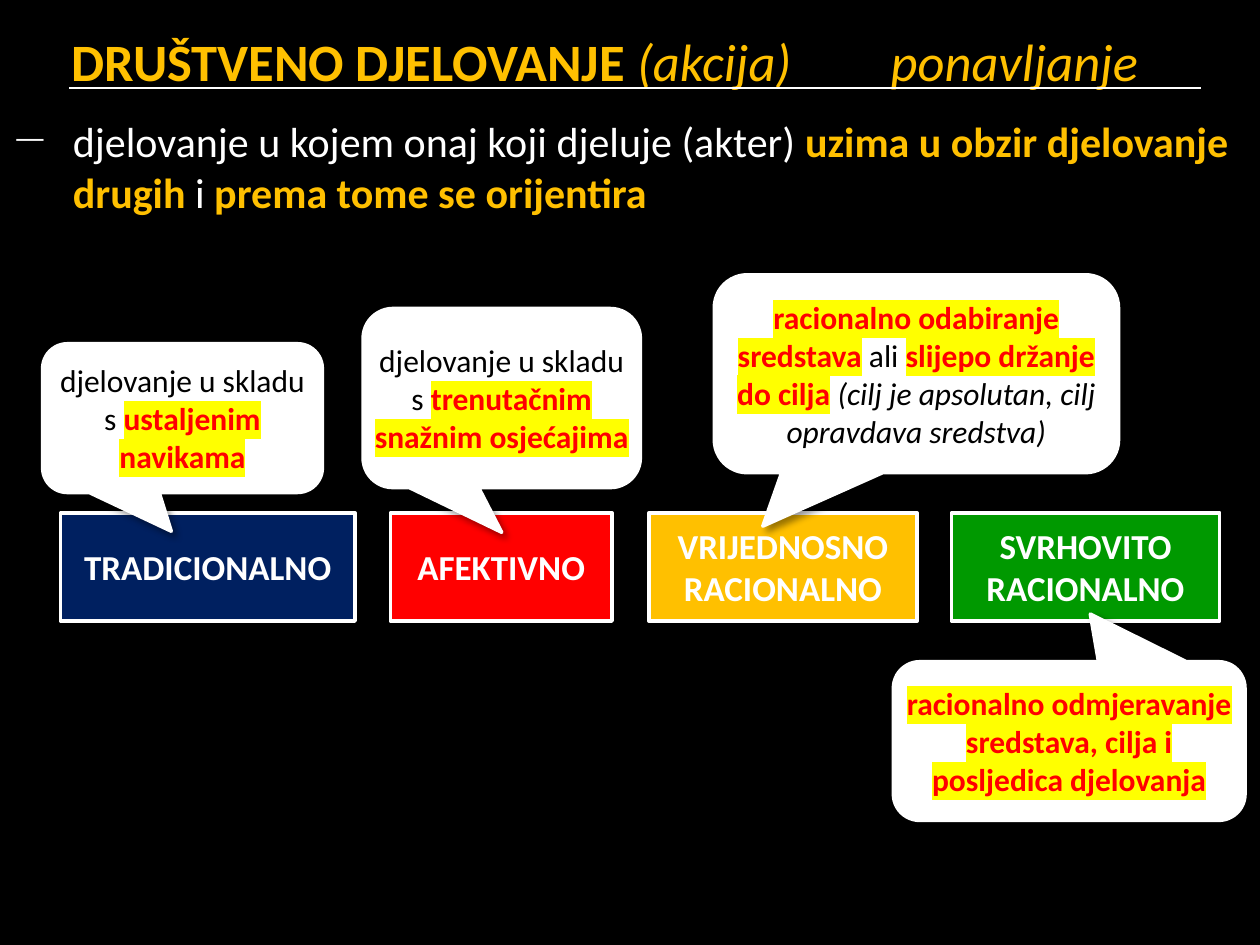
from typing import NamedTuple

from lxml import etree
from pptx import Presentation
from pptx.dml.color import RGBColor
from pptx.enum.shapes import MSO_CONNECTOR, MSO_SHAPE
from pptx.enum.text import MSO_ANCHOR, MSO_AUTO_SIZE, PP_ALIGN
from pptx.oxml import parse_xml
from pptx.oxml.ns import nsdecls, qn
from pptx.util import Cm, Pt

RECT = MSO_SHAPE.RECTANGLE
BUBBLE = MSO_SHAPE.ROUNDED_RECTANGULAR_CALLOUT
STRAIGHT = MSO_CONNECTOR.STRAIGHT
MIDDLE = MSO_ANCHOR.MIDDLE
LEFT, CENTER = PP_ALIGN.LEFT, PP_ALIGN.CENTER
FIXED = MSO_AUTO_SIZE.NONE

BLACK = RGBColor(0, 0, 0)
WHITE = RGBColor(255, 255, 255)
GOLD = RGBColor(255, 192, 0)
RED = RGBColor(255, 0, 0)
NAVY = RGBColor(0, 32, 96)
GREEN = RGBColor(0, 153, 0)
YELLOW = RGBColor(255, 255, 0)
FONT = "Calibri"
ROW_TOP, ROW_HIGH = 10.34, 2.18

SHADOW = f"""<a:effectLst {nsdecls("a")}>
  <a:outerShdw blurRad="50800" dist="38100" dir="2700000" algn="tl" rotWithShape="0">
    <a:srgbClr val="000000"><a:alpha val="40000"/></a:srgbClr>
  </a:outerShdw>
</a:effectLst>"""


class Span(NamedTuple):
    text: str
    color: RGBColor = BLACK
    bold: bool = False
    slant: bool = False
    mark: RGBColor | None = None


class Kind(NamedTuple):
    name: str
    left: float
    width: float
    color: RGBColor


class Note(NamedTuple):
    left: float
    top: float
    width: float
    height: float
    tip: tuple[float, float]
    inset: float
    spans: list[Span]


def key(text: str) -> Span:
    """Highlighted key phrase."""
    return Span(text, RED, bold=True, mark=YELLOW)


KINDS = [
    Kind("TRADICIONALNO", 1.22, 5.94, NAVY),
    Kind("AFEKTIVNO", 7.87, 4.47, RED),
    Kind("VRIJEDNOSNO RACIONALNO", 13.08, 5.41, GOLD),
    Kind("SVRHOVITO RACIONALNO", 19.18, 5.41, GREEN),
]
NOTES = [
    Note(0.86, 6.93, 5.64, 3, (-0.04, 0.76), 0.1,
         [Span("djelovanje u skladu s "), key("ustaljenim navikama")]),
    Note(7.32, 6.22, 5.59, 3.61, (0, 0.75), 0,
         [Span("djelovanje u skladu s "), key("trenutačnim snažnim osjećajima")]),
    Note(14.4, 5.54, 8.15, 3.99, (-0.38, 0.77), 0,
         [key("racionalno odabiranje sredstava"), Span(" ali "),
          key("slijepo držanje do cilja"), Span(" "),
          Span("(cilj je apsolutan, cilj opravdava sredstva)", slant=True)]),
    Note(18.01, 13.34, 7.09, 3.2, (0.06, -0.8), 0,
         [key("racionalno odmjeravanje sredstava, cilja i posljedica djelovanja")]),
]
TITLE = [
    Span("DRUŠTVENO DJELOVANJE ", GOLD, bold=True),
    Span("(akcija)\t\tponavljanje", GOLD, slant=True),
]
LEAD = [
    Span("djelovanje u kojem onaj koji djeluje (akter) ", WHITE),
    Span("uzima u obzir djelovanje drugih", GOLD, bold=True),
    Span(" i ", WHITE),
    Span("prema tome se orijentira", GOLD, bold=True),
]


def write(para, spans: list[Span], size: int, align=CENTER) -> None:
    para.alignment = align
    for span in spans:
        run = para.add_run()
        run.text = span.text
        font = run.font
        font.name, font.size = FONT, Pt(size)
        font.bold, font.italic = span.bold, span.slant
        font.color.rgb = span.color
        if span.mark is not None:
            light = etree.Element(qn("a:highlight"))
            etree.SubElement(light, qn("a:srgbClr"), val=str(span.mark))
            run._r.rPr.find(qn("a:solidFill")).addnext(light)


def indent(para, margin: float, first: float):
    props = para._p.get_or_add_pPr()
    props.set("marL", str(Cm(margin)))
    props.set("indent", str(Cm(first)))
    return props


def add_box(slide, form, left: float, top: float, width: float, height: float,
            color: RGBColor):
    box = slide.shapes.add_shape(form, Cm(left), Cm(top), Cm(width), Cm(height))
    box.shadow.inherit = False
    box.fill.solid()
    box.fill.fore_color.rgb = color
    box.line.color.rgb = WHITE
    box.line.width = Pt(2)
    box.text_frame.word_wrap = True
    box.text_frame.vertical_anchor = MIDDLE
    return box


def add_kind(slide, kind: Kind) -> None:
    box = add_box(slide, RECT, kind.left, ROW_TOP, kind.width, ROW_HIGH, kind.color)
    write(box.text_frame.paragraphs[0], [Span(kind.name, WHITE, bold=True)], 20)


def add_note(slide, note: Note) -> None:
    box = add_box(slide, BUBBLE, note.left, note.top, note.width, note.height, WHITE)
    box.adjustments[0], box.adjustments[1] = note.tip
    props = box._element.spPr
    props.replace(props.find(qn("a:effectLst")), parse_xml(SHADOW))
    frame = box.text_frame
    frame.margin_left = frame.margin_right = Cm(note.inset)
    frame.margin_top = frame.margin_bottom = Cm(0.1)
    para = frame.paragraphs[0]
    para.level = 1
    para.space_before = Pt(6)
    indent(para, 0, -0.48)
    write(para, note.spans, 18)


def add_title(slide) -> None:
    title = slide.shapes.title
    title.left, title.top = Cm(1.19), Cm(0.41)
    title.width, title.height = Cm(23.83), Cm(1.6)
    frame = title.text_frame
    frame.auto_size = FIXED
    frame.vertical_anchor = MIDDLE
    write(frame.paragraphs[0], TITLE, 30, LEFT)

    rule = slide.shapes.add_connector(STRAIGHT, Cm(1.4), Cm(1.78), Cm(24.21), Cm(1.78))
    rule.line.color.rgb = WHITE
    rule.line.width = Pt(1)
    etree.SubElement(rule._element.spPr, qn("a:effectLst"))


def add_lead(slide) -> None:
    box = slide.shapes.add_textbox(Cm(-0.3), Cm(2.21), Cm(25.7), Cm(2.31))
    box.text_frame.word_wrap = True
    para = box.text_frame.paragraphs[0]
    para.space_before = Pt(5)
    props = indent(para, 1.52, -1.14)
    tint = etree.SubElement(props, qn("a:buClr"))
    etree.SubElement(tint, qn("a:srgbClr"), val="F9F9F9")
    etree.SubElement(props, qn("a:buSzPct"), val="65000")
    etree.SubElement(props, qn("a:buChar"), char="—")
    write(para, LEAD, 24, LEFT)


def main() -> None:
    deck = Presentation()
    deck.slide_width, deck.slide_height = Cm(25.4), Cm(19.05)
    slide = deck.slides.add_slide(deck.slide_layouts[5])
    slide.background.fill.solid()
    slide.background.fill.fore_color.rgb = BLACK
    add_title(slide)
    for kind in KINDS:
        add_kind(slide, kind)
    for note in NOTES:
        add_note(slide, note)
    add_lead(slide)
    deck.save("out.pptx")


if __name__ == "__main__":
    main()
